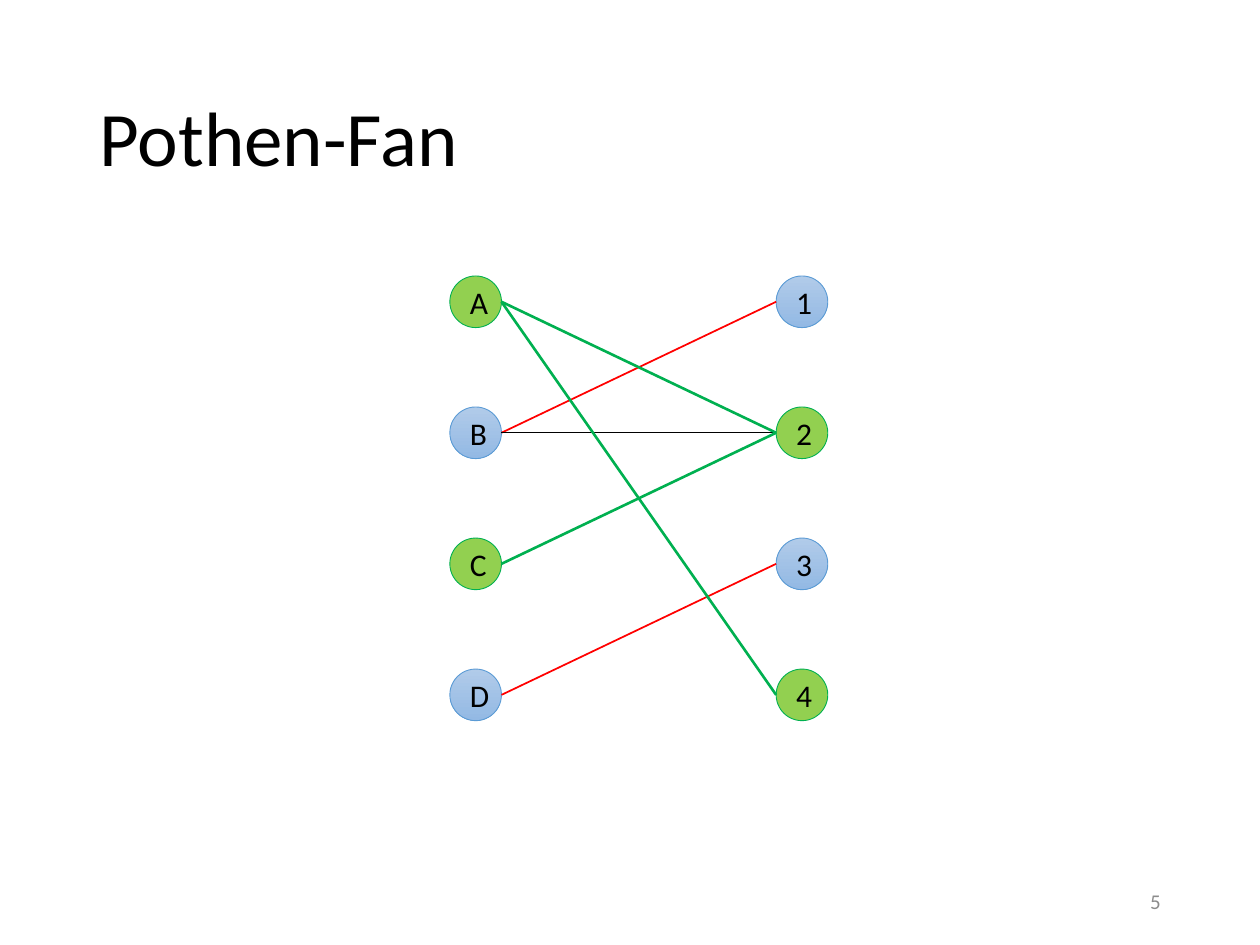
from lxml import etree
from pptx import Presentation
from pptx.dml.color import RGBColor
from pptx.enum import shapes, text
from pptx.oxml.ns import qn
from pptx.util import Inches, Pt

BLACK = RGBColor(0x00, 0x00, 0x00)
GRAY = RGBColor(0x8C, 0x8C, 0x8C)
RED = RGBColor(0xFF, 0x00, 0x00)
GREEN = RGBColor(0x00, 0xB0, 0x50)
LIGHT_GREEN = RGBColor(0x92, 0xD0, 0x50)
BLUE = RGBColor(0x5B, 0x9B, 0xD5)
BLUE_TOP = RGBColor(0xB1, 0xCB, 0xE9)
BLUE_BOTTOM = RGBColor(0x93, 0xB9, 0xE4)

NODE_SIZE = 0.41
ROW_TOP, ROW_STEP = 2.19, 1.04
COLUMNS = [(3.57, "ABCD"), (6.16, "1234")]
PATH_NODES = "AC24"  # nodes on the highlighted alternating path
EDGES = [
    ("B", "1", RED, 1),
    ("D", "3", RED, 1),
    ("B", "2", BLACK, 0.5),
    ("C", "2", GREEN, 1.5),
    ("A", "2", GREEN, 1.5),
    ("A", "4", GREEN, 1.5),
]


def write_text(shape, content, size, color, alignment):
    frame = shape.text_frame
    frame.text = content
    frame.word_wrap = True
    frame.vertical_anchor = text.MSO_ANCHOR.MIDDLE
    paragraph = frame.paragraphs[0]
    paragraph.alignment = alignment
    font = paragraph.runs[0].font
    font.name, font.size = "Calibri", Pt(size)
    font.color.rgb = color
    return paragraph


presentation = Presentation()
presentation.slide_width, presentation.slide_height = Inches(10), Inches(7.5)
slide = presentation.slides.add_slide(presentation.slide_layouts[5])

# Title
title = slide.shapes.title
title.left, title.top = Inches(0.69), Inches(0.4)
title.width, title.height = Inches(8.62), Inches(1.45)
paragraph = write_text(title, "Pothen-Fan", 44, BLACK, text.PP_ALIGN.LEFT)
paragraph.line_spacing = 0.9

# Slide number
number = slide.shapes.add_textbox(Inches(7.06), Inches(6.95), Inches(2.25), Inches(0.4))
write_text(number, "5", 12, GRAY, text.PP_ALIGN.RIGHT)

# Nodes of the bipartite graph
nodes = {}
for left, labels in COLUMNS:
    for row, label in enumerate(labels):
        node = slide.shapes.add_shape(
            shapes.MSO_SHAPE.OVAL, Inches(left), Inches(ROW_TOP + row * ROW_STEP),
            Inches(NODE_SIZE), Inches(NODE_SIZE))
        node.shadow.inherit = False
        node.line.width = Pt(0.5)
        if label in PATH_NODES:
            node.fill.solid()
            node.fill.fore_color.rgb = LIGHT_GREEN
            node.line.color.rgb = GREEN
        else:
            node.fill.gradient()
            node.fill.gradient_angle = 270
            for stop, color in zip(node.fill.gradient_stops, (BLUE_TOP, BLUE_BOTTOM)):
                stop.color.rgb = color
            node.line.color.rgb = BLUE
        write_text(node, label, 18, BLACK, text.PP_ALIGN.CENTER)
        nodes[label] = node

# Edges from the right side of a letter to the left side of a number
for start, end, color, width in EDGES:
    source, target = nodes[start], nodes[end]
    edge = slide.shapes.add_connector(
        shapes.MSO_CONNECTOR.STRAIGHT,
        source.left + source.width, source.top + source.height // 2,
        target.left, target.top + target.height // 2)
    edge.line.color.rgb = color
    edge.line.width = Pt(width)
    etree.SubElement(edge._element.spPr, qn("a:effectLst"))

presentation.save("out.pptx")
